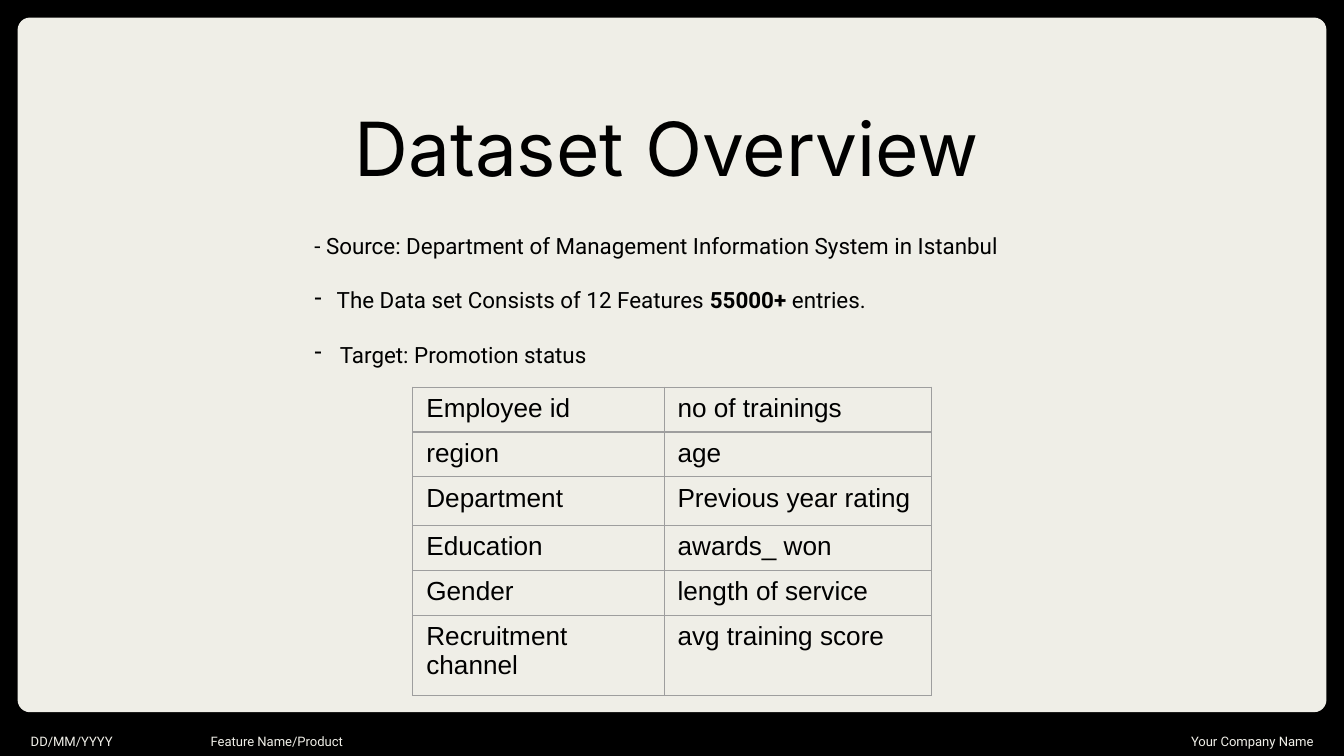
from lxml import etree
from pptx import Presentation
from pptx import util as u
from pptx.dml import color
from pptx.enum import shapes, text
from pptx.oxml import ns

COLORS = {"black": "000000", "cream": "EFEEE7", "rule": "9E9E9E"}

TITLE = "Dataset Overview"
FACTS = [
    (0, [("- Source: Department of Management Information System in Istanbul", False)]),
    (12, [("The Data set Consists of 12 Features ", False), ("55000+", True), (" entries.", False)]),
    (13.7, [("Target: Promotion status", False)]),
]
FEATURES = [
    ("Employee id", "no of trainings", 23),
    ("region", "age", 24),
    ("Department", "Previous year rating", 26),
    ("Education", "awards_ won", 24),
    ("Gender", "length of service", 23),
    ("Recruitment channel", "avg training score", 43),
]
COLUMN_WIDTHS = [134.6, 143.3]
FOOTERS = [
    ("DD/MM/YYYY", 9.4, text.PP_ALIGN.LEFT),
    ("Feature Name/Product", 105.8, text.PP_ALIGN.LEFT),
    ("Your Company Name", 614.2, text.PP_ALIGN.RIGHT),
]


def rgb(name):
    return color.RGBColor.from_string(COLORS[name])


def add_run(para, words, font, size, ink, bold=False):
    span = para.add_run()
    span.text = words
    span.font.name = font
    span.font.size = u.Pt(size)
    span.font.bold = bold
    span.font.color.rgb = rgb(ink)


def add_box(page, left, top, width, height, anchor=text.MSO_ANCHOR.TOP):
    box = page.shapes.add_textbox(u.Pt(left), u.Pt(top), u.Pt(width), u.Pt(height))
    frame = box.text_frame
    frame.word_wrap = True
    frame.vertical_anchor = anchor
    frame.margin_left = frame.margin_right = u.Pt(7.2)
    frame.margin_top = frame.margin_bottom = u.Pt(7.2)
    return frame


def add_dash(para, indent):
    props = para._p.get_or_add_pPr()
    props.set("marL", str(u.Pt(indent)))
    props.set("indent", str(-u.Pt(indent)))
    etree.SubElement(props, ns.qn("a:buChar")).set("char", "-")


def add_borders(cell):
    props = cell._tc.get_or_add_tcPr()
    for place, side in enumerate(("a:lnL", "a:lnR", "a:lnT", "a:lnB")):
        line = etree.Element(ns.qn(side), w=str(u.Pt(0.75)))
        fill = etree.SubElement(line, ns.qn("a:solidFill"))
        etree.SubElement(fill, ns.qn("a:srgbClr")).set("val", COLORS["rule"])
        props.insert(place, line)


def add_panel(page):
    panel = page.shapes.add_shape(
        shapes.MSO_SHAPE.ROUNDED_RECTANGLE, u.Pt(9.4), u.Pt(9.4), u.Pt(701.2), u.Pt(372.2))
    panel.adjustments[0] = 0.018
    panel.shadow.inherit = False
    panel.fill.solid()
    panel.fill.fore_color.rgb = rgb("cream")
    panel.line.fill.background()


def add_facts(page):
    frame = add_box(page, 161.3, 102.2, 425.5, 146.9)
    frame.margin_top = u.Pt(22)
    for number, (indent, spans) in enumerate(FACTS):
        para = frame.add_paragraph() if number else frame.paragraphs[0]
        if number:
            para.space_before = u.Pt(14.8)
        if indent:
            add_dash(para, indent)
        for words, bold in spans:
            add_run(para, words, "Roboto", 12, "black", bold)


def add_features(page):
    height = sum(row[-1] for row in FEATURES)
    table = page.shapes.add_table(
        len(FEATURES), len(COLUMN_WIDTHS), u.Pt(221.2), u.Pt(207.4),
        u.Pt(sum(COLUMN_WIDTHS)), u.Pt(height)).table
    table.first_row = table.horz_banding = False
    for column, width in zip(table.columns, COLUMN_WIDTHS):
        column.width = u.Pt(width)
    for row, (*names, row_height) in zip(table.rows, FEATURES):
        row.height = u.Pt(row_height)
        for cell, name in zip(row.cells, names):
            cell.fill.background()
            add_borders(cell)
            add_run(cell.text_frame.paragraphs[0], name, "Arial", 14, "black")


def main():
    deck = Presentation()
    deck.slide_width, deck.slide_height = u.Pt(720), u.Pt(405)
    page = deck.slides.add_slide(deck.slide_layouts[6])
    page.background.fill.solid()
    page.background.fill.fore_color.rgb = rgb("black")
    add_panel(page)
    title = add_box(page, 182.9, 47.5, 355, 54.7)
    add_run(title.paragraphs[0], TITLE, "Inter", 40, "black")
    add_facts(page)
    for words, left, align in FOOTERS:
        para = add_box(page, left, 382.3, 96.5, 23, text.MSO_ANCHOR.BOTTOM).paragraphs[0]
        para.alignment = align
        add_run(para, words, "Roboto", 7, "cream")
    add_features(page)
    deck.save("out.pptx")


if __name__ == "__main__":
    main()
